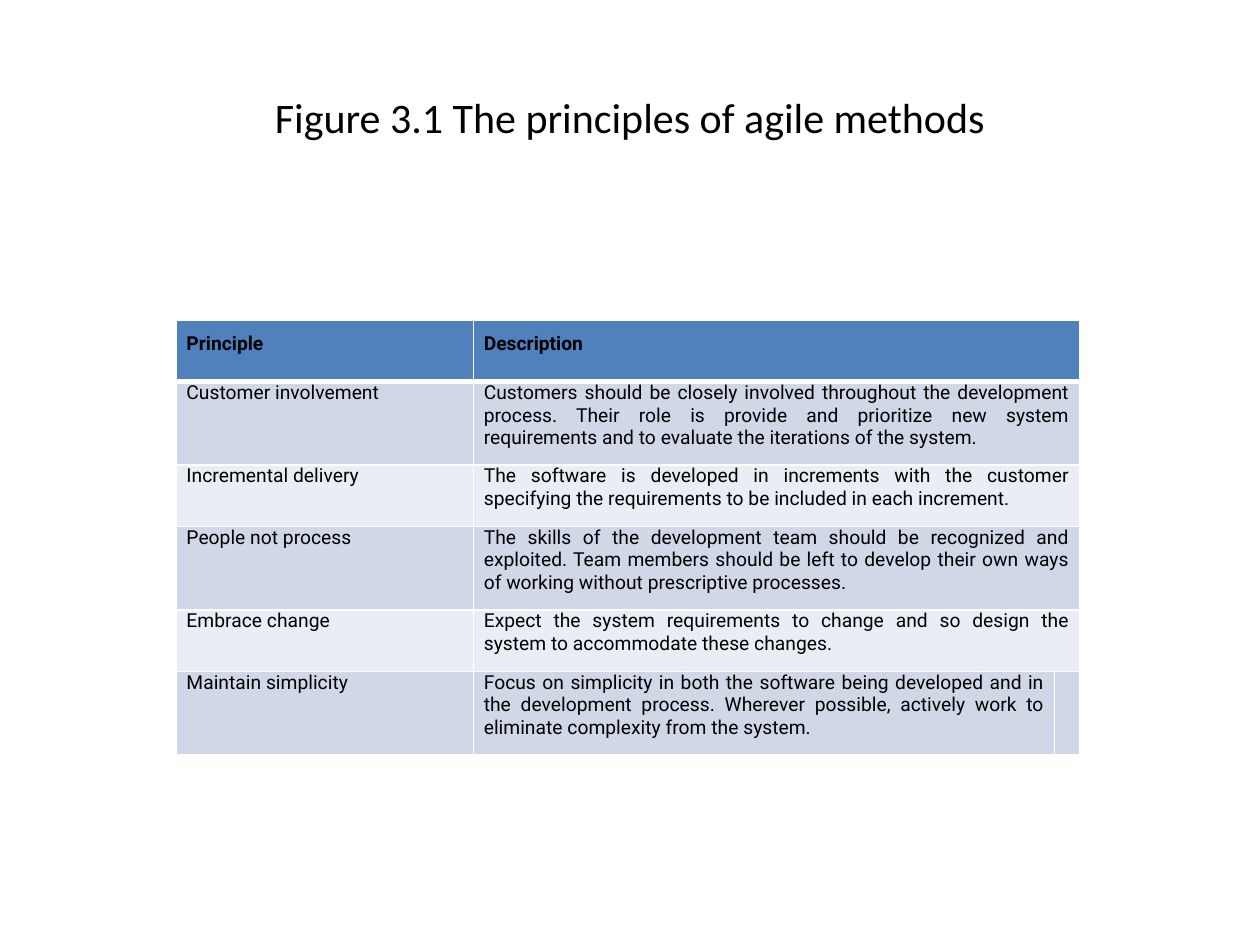
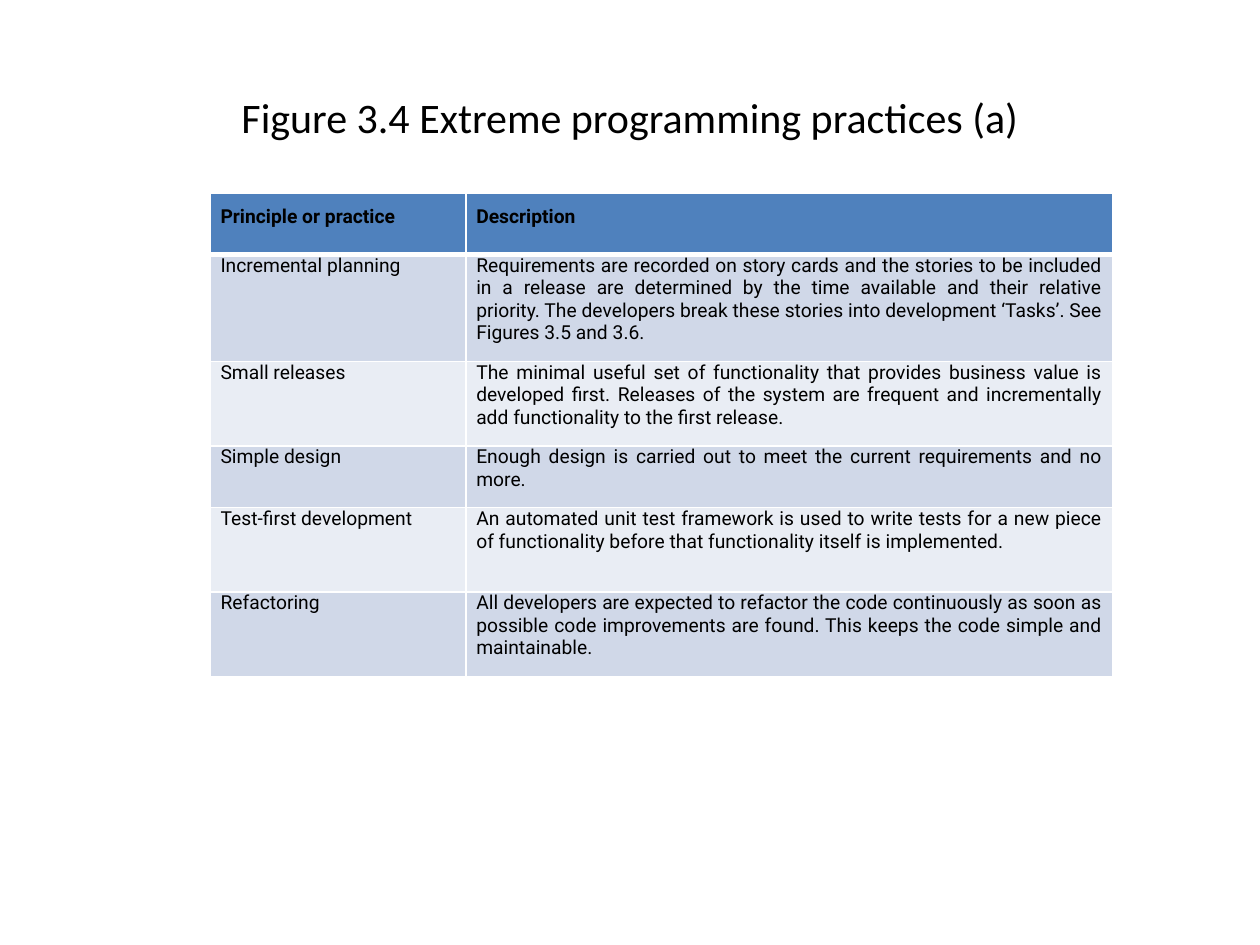
from dataclasses import dataclass

from lxml import etree
from pptx import Presentation
from pptx import util as u
from pptx.dml.color import RGBColor
from pptx.enum import text
from pptx.oxml.ns import qn

COLORS = {
    "text": "000000",
    "border": "FFFFFF",
    "header": "4F81BD",
    "odd": "D0D8E8",
    "even": "E9EDF4",
}
TITLE_FONT = {"name": "Calibri", "size": u.Pt(24), "bold": False}
HEADER_FONT = {"name": "Roboto", "size": u.Pt(11), "bold": True}
BODY_FONT = HEADER_FONT | {"bold": False}
TITLE_BOX = {
    "left": u.Inches(0.5),
    "top": u.Inches(0.3),
    "width": u.Inches(9),
    "height": u.Inches(1.25),
}
MARGINS = {
    "margin_left": u.Inches(0.08),
    "margin_right": u.Inches(0.08),
    "margin_bottom": u.Inches(0.1),
}
THIN, THICK = 1, 3


@dataclass
class TableSlide:
    title: str
    left: float
    top: float
    cols: list[float]
    heights: list[float]
    rows: list[tuple[str, str]]


def set_attrs(obj, values: dict) -> None:
    for name, value in values.items():
        setattr(obj, name, value)


def write(tf, content: str, font: dict, align) -> None:
    p = tf.paragraphs[0]
    p.alignment = align
    if content:
        r = p.add_run()
        r.text = content
        f = r.font
    else:
        f = p.font
    set_attrs(f, font)
    f.color.rgb = RGBColor.from_string(COLORS["text"])


def set_borders(cell, top: int, bottom: int) -> None:
    tc_pr = cell._tc.get_or_add_tcPr()
    widths = {"a:lnL": THIN, "a:lnR": THIN, "a:lnT": top, "a:lnB": bottom}
    for i, (tag, width) in enumerate(widths.items()):
        ln = etree.Element(qn(tag), w=str(u.Pt(width)))
        fill = etree.SubElement(ln, qn("a:solidFill"))
        etree.SubElement(fill, qn("a:srgbClr"), val=COLORS["border"])
        tc_pr.insert(i, ln)


def format_cell(cell, row: int, content: str) -> None:
    band = "header" if row == 0 else "odd" if row % 2 else "even"
    set_attrs(cell, MARGINS | {"margin_top": u.Inches(0 if row else 0.1)})
    cell.fill.solid()
    cell.fill.fore_color.rgb = RGBColor.from_string(COLORS[band])
    set_borders(cell, THICK if row == 1 else THIN, THICK if row == 0 else THIN)
    write(cell.text_frame, content, BODY_FONT if row else HEADER_FONT,
          text.PP_ALIGN.JUSTIFY)


def add_table_slide(prs, spec_: TableSlide) -> None:
    s = prs.slides.add_slide(prs.slide_layouts[5])
    title = s.shapes.title
    set_attrs(title, TITLE_BOX)
    title.text_frame.vertical_anchor = text.MSO_ANCHOR.MIDDLE
    write(title.text_frame, spec_.title, TITLE_FONT, text.PP_ALIGN.CENTER)

    n_rows, n_cols = len(spec_.rows), len(spec_.cols)
    tbl = s.shapes.add_table(
        n_rows, n_cols, u.Inches(spec_.left), u.Inches(spec_.top),
        u.Inches(sum(spec_.cols)), u.Inches(sum(spec_.heights))).table
    for col, width in zip(tbl.columns, spec_.cols):
        col.width = u.Inches(width)
    for row, height in zip(tbl.rows, spec_.heights):
        row.height = u.Inches(height)
    for i, contents in enumerate(spec_.rows):
        for j in range(n_cols):
            format_cell(tbl.cell(i, j), i, contents[j] if j < len(contents) else "")
        if n_cols > 2 and i < n_rows - 1:
            tbl.cell(i, 1).merge(tbl.cell(i, n_cols - 1))


SLIDES = [
    TableSlide(
        "Figure 3.1 The principles of agile methods",
        1.4, 2.54, [2.36, 4.61, 0.11], [0.49, 0.66] * 3,
        [
            ("Principle", "Description"),
            ("Customer involvement",
             "Customers should be closely involved throughout the development "
             "process. Their role is provide and prioritize new system "
             "requirements and to evaluate the iterations of the system."),
            ("Incremental delivery",
             "The software is developed in increments with the customer "
             "specifying the requirements to be included in each increment."),
            ("People not process",
             "The skills of the development team should be recognized and "
             "exploited. Team members should be left to develop their own ways "
             "of working without prescriptive processes."),
            ("Embrace change",
             "Expect the system requirements to change and so design the "
             "system to accommodate these changes."),
            ("Maintain simplicity",
             "Focus on simplicity in both the software being developed and in "
             "the development process. Wherever possible, actively work to "
             "eliminate complexity from the system."),
        ],
    ),
    TableSlide(
        "Figure 3.4 Extreme programming practices (a)",
        1.67, 1.53, [2.03, 5.13], [0.49, 0.85, 0.67, 0.49, 0.67, 0.67],
        [
            ("Principle or practice", "Description"),
            ("Incremental planning",
             "Requirements are recorded on story cards and the stories to be "
             "included in a release are determined by the time available and "
             "their relative priority. The developers break these stories into "
             "development ‘Tasks’. See Figures 3.5 and 3.6."),
            ("Small releases",
             "The minimal useful set of functionality that provides business "
             "value is developed first. Releases of the system are frequent and "
             "incrementally add functionality to the first release."),
            ("Simple design",
             "Enough design is carried out to meet the current requirements "
             "and no more."),
            ("Test-first development",
             "An automated unit test framework is used to write tests for a new "
             "piece of functionality before that functionality itself is "
             "implemented."),
            ("Refactoring",
             "All developers are expected to refactor the code continuously as "
             "soon as possible code improvements are found. This keeps the code "
             "simple and maintainable."),
        ],
    ),
]

prs = Presentation()
prs.slide_width, prs.slide_height = u.Inches(10), u.Inches(7.5)
for table_slide in SLIDES:
    add_table_slide(prs, table_slide)
prs.save("out.pptx")
